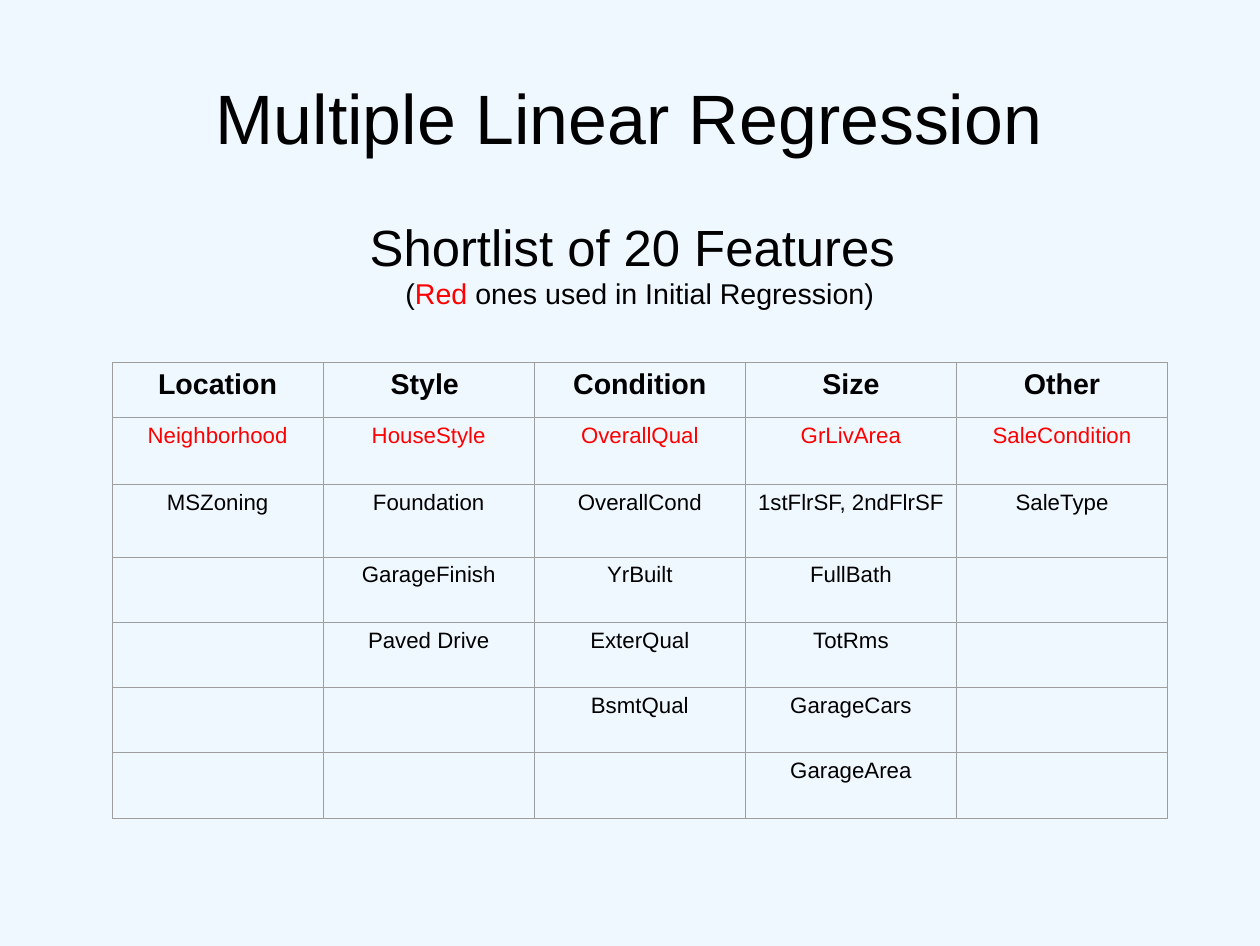
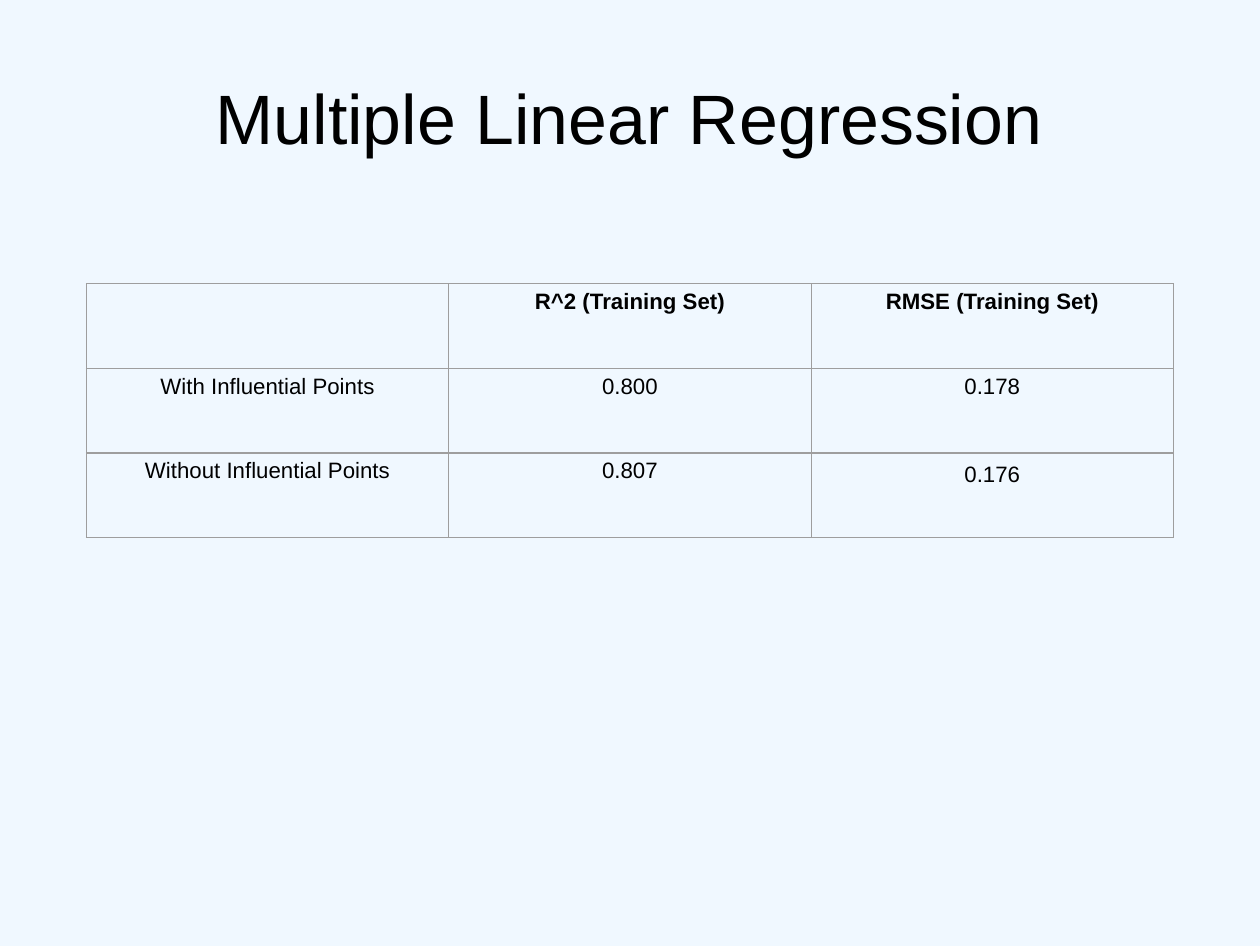
from lxml import etree
from pptx import Presentation
from pptx.dml.color import RGBColor
from pptx.enum.text import MSO_ANCHOR, PP_ALIGN
from pptx.oxml.ns import qn
from pptx.util import Cm, Pt

CENTER = PP_ALIGN.CENTER
TOP, MIDDLE = MSO_ANCHOR.TOP, MSO_ANCHOR.MIDDLE
BACKGROUND = RGBColor(0xF0, 0xF8, 0xFF)
BLACK = RGBColor(0, 0, 0)
RED = RGBColor(0xFF, 0, 0)
GRID = RGBColor(0x9E, 0x9E, 0x9E)
FONT = "Arial"
TITLE = "Multiple Linear Regression"

FEATURES = [
    ["Location", "Style ", "Condition", "Size", "Other"],
    ["Neighborhood", "HouseStyle", "OverallQual", "GrLivArea", "SaleCondition"],
    ["MSZoning", "Foundation", "OverallCond", "1stFlrSF, 2ndFlrSF", "SaleType"],
    ["", "GarageFinish", "YrBuilt", "FullBath", ""],
    ["", "Paved Drive", "ExterQual", "TotRms", ""],
    ["", "", "BsmtQual", "GarageCars", ""],
    ["", "", "", "GarageArea", ""],
]
RESULTS = [
    ["", "R^2 (Training Set)", "RMSE (Training Set)"],
    ["With Influential Points", "0.800", "0.178"],
    ["Without Influential Points", "0.807", "0.176"],
]


def add_run(p, text, size, color=BLACK, bold=False):
    p.alignment = CENTER
    r = p.add_run()
    r.text = text
    r.font.name = FONT
    r.font.size = Pt(size)
    r.font.color.rgb = color
    r.font.bold = bold


def add_text(s, left, top, width, height, anchor, paragraphs):
    tf = s.shapes.add_textbox(Cm(left), Cm(top), Cm(width), Cm(height)).text_frame
    tf.word_wrap = True
    tf.vertical_anchor = anchor
    tf.margin_left = tf.margin_right = tf.margin_top = tf.margin_bottom = 0
    for i, runs in enumerate(paragraphs):
        p = tf.add_paragraph() if i else tf.paragraphs[0]
        for run in runs:
            add_run(p, *run)


prs = Presentation()
prs.slide_width, prs.slide_height = Pt(793.5), Pt(595.5)
fill = prs.slide_master.background.fill
fill.solid()
fill.fore_color.rgb = BACKGROUND

subtitle = [
    [("Shortlist of 20 Features ", 32)],
    [("(", 18), ("Red ", 18, RED), ("ones used in Initial Regression)", 18)],
]
slides = [
    (subtitle, FEATURES, 2.49, 8.06, 4.69, [1.22, 1.49, 1.6] + [1.45] * 4, 18, RED),
    ([], RESULTS, 1.92, 6.3, 8.05, [1.88] * 3, 14, BLACK),
]
tables = []
for body, rows, left, top, col_width, heights, head_size, first_color in slides:
    s = prs.slides.add_slide(prs.slide_layouts[6])
    add_text(s, 1.4, 0.84, 25.17, 3.5, MIDDLE, [[(TITLE, 44)]])
    if body:
        add_text(s, 1.63, 4.78, 25.17, 15.98, TOP, body)

    cols = len(rows[0])
    table = s.shapes.add_table(len(rows), cols, Cm(left), Cm(top),
                               Cm(col_width * cols), Cm(sum(heights))).table
    table.first_row = table.horz_banding = False
    tables.append(table)
    for column in table.columns:
        column.width = Cm(col_width)
    for i, (values, height) in enumerate(zip(rows, heights)):
        table.rows[i].height = Cm(height)
        for j, value in enumerate(values):
            cell = table.cell(i, j)
            tcPr = cell._tc.get_or_add_tcPr()
            for side in ("a:lnL", "a:lnR", "a:lnT", "a:lnB"):
                ln = etree.SubElement(tcPr, qn(side), w=str(Pt(0.75)))
                solid = etree.SubElement(ln, qn("a:solidFill"))
                etree.SubElement(solid, qn("a:srgbClr"), val=str(GRID))
            cell.fill.background()
            if value:
                add_run(cell.text_frame.paragraphs[0], value,
                        14 if i else head_size,
                        first_color if i == 1 else BLACK, i == 0)

tables[1].cell(2, 2).text_frame.paragraphs[0].line_spacing = 1.15

prs.save("out.pptx")
